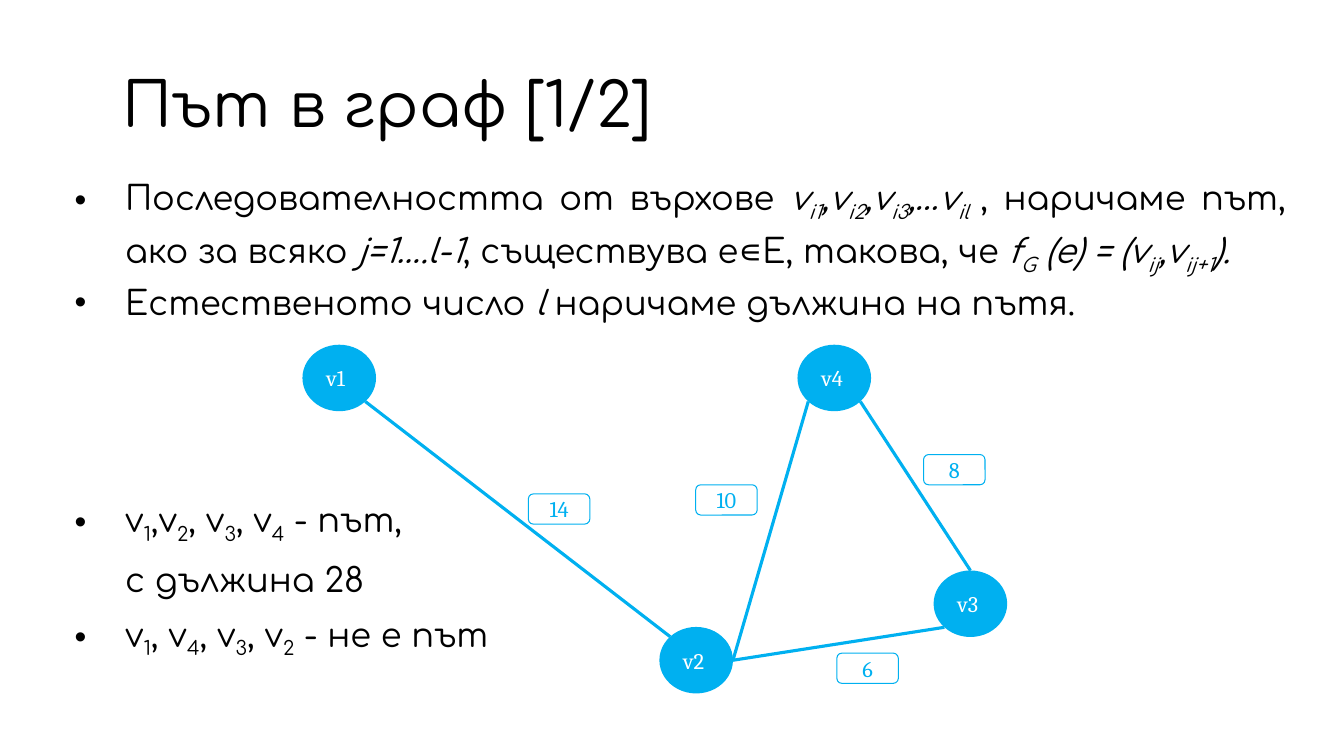
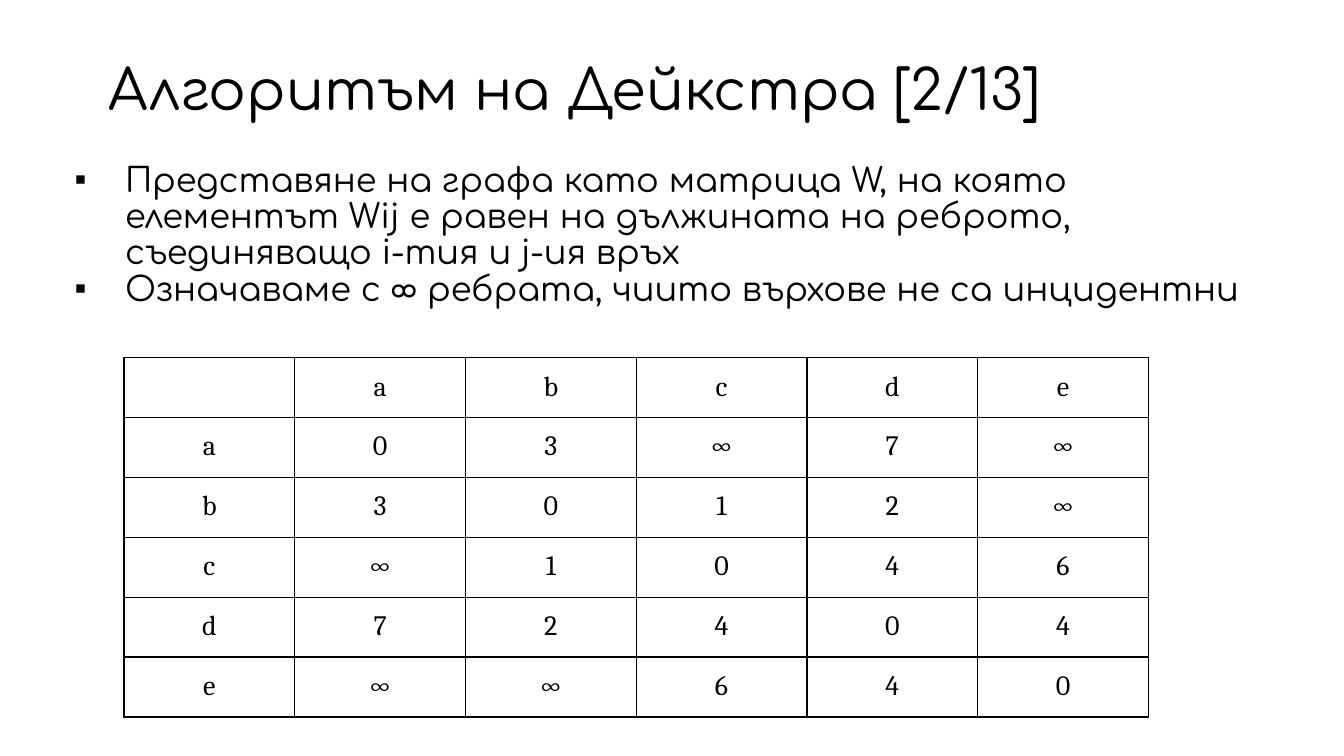
from math import cos, radians, sin

from lxml.etree import SubElement
from pptx import Presentation
from pptx.dml.color import RGBColor
from pptx.enum.shapes import MSO_CONNECTOR, MSO_SHAPE
from pptx.enum.text import MSO_ANCHOR, PP_ALIGN
from pptx.oxml.ns import qn
from pptx.util import Inches, Pt

BLACK = RGBColor(0x00, 0x00, 0x00)
WHITE = RGBColor(0xFF, 0xFF, 0xFF)
BLUE = RGBColor(0x00, 0xB0, 0xF0)

BODY = {"name": "Comfortaa", "size": Pt(24)}
GRAPH = {"name": "Cambria", "size": Pt(16)}
CELL = {"name": "Cambria", "size": Pt(20)}

TEXT_INSETS = (0.12, 0.04)
GRAPH_INSETS = (0.13, 0.13)
NODE_SIZE = (0.73, 0.66)
LABEL_SIZE = (0.61, 0.3)

NODES = {"v1": (3, 3.42), "v2": (6.54, 6.22), "v3": (9.26, 5.66), "v4": (7.91, 3.42)}
# Each end is a node and a site, counted anticlockwise from the top in steps of 45 degrees
EDGES = [
    (("v1", 5), ("v2", 1)),
    (("v2", 6), ("v3", 3)),
    (("v4", 5), ("v3", 0)),
    (("v2", 6), ("v4", 3)),
]
WEIGHTS = {"14": (5.24, 4.9), "6": (8.3, 6.48), "8": (9.16, 4.51), "10": (6.9, 4.81)}

MATRIX = [
    ["", "a", "b", "c", "d", "e"],
    ["a", "0", "3", "∞", "7", "∞"],
    ["b", "3", "0", "1", "2", "∞"],
    ["c", "∞", "1", "0", "4", "6"],
    ["d", "7", "2", "4", "0", "4"],
    ["e", "∞", "∞", "6", "4", "0"],
]


def set_all(obj, values):
    for name, value in values.items():
        setattr(obj, name, value)


def set_insets(obj, insets):
    """Set the margins of a text frame or a table cell."""
    x, y = (Inches(v) for v in insets)
    set_all(obj, {"margin_left": x, "margin_right": x, "margin_top": y, "margin_bottom": y})


def add_run(p, text, font, color=BLACK):
    r = p.add_run()
    r.text = text
    set_all(r.font, font)
    r.font.color.rgb = color
    return r


def add_rich_text(p, text, font):
    """Write text in which *...* is italic and ~...~ is subscript."""
    for i, segment in enumerate(text.split("*")):
        for j, part in enumerate(segment.split("~")):
            if part:
                r = add_run(p, part, {**font, "italic": i % 2 == 1})
                if j % 2:
                    r._r.get_or_add_rPr().set("baseline", "-25000")


def add_text_frame(slide, box):
    tf = slide.shapes.add_textbox(*(Inches(v) for v in box)).text_frame
    tf.word_wrap = True
    set_insets(tf, TEXT_INSETS)
    return tf


def add_title(slide, text, box, size):
    tf = add_text_frame(slide, box)
    tf.vertical_anchor = MSO_ANCHOR.MIDDLE
    p = tf.paragraphs[0]
    p.line_spacing = 0.9
    add_run(p, text, {**BODY, "size": Pt(size)})


def add_bullets(slide, box, items, spacing, align=PP_ALIGN.LEFT, before=0):
    """Fill a box with (bullet, text) paragraphs; a bullet of None only indents."""
    tf = add_text_frame(slide, box)
    for i, (bullet, text) in enumerate(items):
        p = tf.add_paragraph() if i else tf.paragraphs[0]
        set_all(p, {"line_spacing": spacing, "alignment": align,
                    "space_before": Pt(before if i else 0)})
        pPr = p._p.get_or_add_pPr()
        pPr.set("marL", str(Inches(0.67)))
        pPr.set("indent", str(Inches(-0.5 if bullet else 0)))
        if bullet:
            SubElement(pPr, qn("a:buFont"), typeface="Arial")
            SubElement(pPr, qn("a:buChar"), char=bullet)
        else:
            SubElement(pPr, qn("a:buNone"))
        add_rich_text(p, text, BODY)


def add_graph_shape(slide, kind, at, size, text, color, align):
    sp = slide.shapes.add_shape(kind, *(Inches(v) for v in (*at, *size)))
    sp.shadow.inherit = False
    tf = sp.text_frame
    tf.word_wrap = True
    tf.vertical_anchor = MSO_ANCHOR.MIDDLE
    set_insets(tf, GRAPH_INSETS)
    p = tf.paragraphs[0]
    p.alignment = align
    add_run(p, text, GRAPH, color)
    return sp


def add_node(slide, name, at):
    sp = add_graph_shape(slide, MSO_SHAPE.OVAL, at, NODE_SIZE, name, WHITE, PP_ALIGN.LEFT)
    sp.fill.solid()
    sp.fill.fore_color.rgb = BLUE
    sp.line.fill.background()
    return sp


def add_weight(slide, text, at):
    sp = add_graph_shape(slide, MSO_SHAPE.ROUNDED_RECTANGLE, at, LABEL_SIZE, text, BLUE,
                         PP_ALIGN.CENTER)
    sp.fill.background()
    sp.line.color.rgb = BLUE
    sp.line.width = Pt(0.75)


def site_point(node, site):
    angle = radians(90 + 45 * site)
    return (int(node.left + node.width / 2 * (1 + cos(angle))),
            int(node.top + node.height / 2 * (1 - sin(angle))))


def add_edge(slide, nodes, start, end):
    (a, a_site), (b, b_site) = start, end
    line = slide.shapes.add_connector(MSO_CONNECTOR.STRAIGHT, *site_point(nodes[a], a_site),
                                      *site_point(nodes[b], b_site))
    if b_site == 0:
        line.end_connect(nodes[b], 0)
    line.line.color.rgb = BLUE
    line.line.width = Pt(2.25)
    SubElement(line._element.spPr, qn("a:effectLst"))


def add_graph(slide):
    nodes = {name: add_node(slide, name, at) for name, at in NODES.items()}
    for start, end in EDGES:
        add_edge(slide, nodes, start, end)
    for text, at in WEIGHTS.items():
        add_weight(slide, text, at)


def add_cell_borders(cell):
    tcPr = cell._tc.get_or_add_tcPr()
    for i, side in enumerate(("a:lnL", "a:lnR", "a:lnT", "a:lnB")):
        ln = tcPr.makeelement(qn(side), {"w": str(Pt(1))})
        fill = SubElement(ln, qn("a:solidFill"))
        SubElement(fill, qn("a:srgbClr"), val=str(BLACK))
        tcPr.insert(i, ln)


def add_matrix(slide, box):
    shape = slide.shapes.add_table(len(MATRIX), len(MATRIX[0]), *(Inches(v) for v in box))
    table = shape.table
    set_all(table, {"first_row": False, "horz_banding": False})
    for i, row in enumerate(MATRIX):
        for j, text in enumerate(row):
            cell = table.cell(i, j)
            cell.fill.background()
            set_insets(cell, GRAPH_INSETS)
            add_cell_borders(cell)
            p = cell.text_frame.paragraphs[0]
            p.alignment = PP_ALIGN.CENTER
            if text:
                add_run(p, text, CELL)


def build_path_slide(slide):
    add_title(slide, "Път в граф [1/2]", (1.09, 0.65, 11.79, 0.84), 44)
    add_bullets(slide, (0.45, 1.65, 12.42, 1.65), [
        ("•", "Последователността от върхове *v~i1~,v~i2~,v~i3~,…v~il ~*, наричаме път, "
              "ако за всяко *j=1….l-1*, съществува e∊E, такова, че "
              "*f~G~ (e) = (v~ij~,v~ij+1~).*"),
        ("•", "Естественото число *l *наричаме дължина на пътя."),
    ], 1.15, PP_ALIGN.JUSTIFY)
    add_bullets(slide, (0.45, 4.82, 5.5, 1.81), [
        ("•", "v~1~,v~2~, v~3~, v~4~ - път,"),
        (None, "с дължина 28"),
        ("•", "v~1~, v~4~, v~3~, v~2~ - не е път"),
    ], 1.2, PP_ALIGN.JUSTIFY, before=4)
    add_graph(slide)


def build_matrix_slide(slide):
    add_title(slide, "Алгоритъм на Дейкстра [2/13]", (0.96, 0.5, 11.63, 0.84), 40)
    add_bullets(slide, (0.45, 1.58, 12.3, 1.7), [
        ("▪", "Представяне на графа като матрица W, на която елементът Wij е равен на "
              "дължината на реброто, съединяващо i-тия и j-ия връх"),
        ("▪", "Означаваме с ∞ ребрата, чиито върхове не са инцидентни"),
    ], 0.9)
    add_matrix(slide, (1.23, 3.55, 10.16, 3.52))


def main():
    prs = Presentation()
    prs.slide_width, prs.slide_height = Inches(13.33), Inches(7.5)
    for build in (build_path_slide, build_matrix_slide):
        build(prs.slides.add_slide(prs.slide_layouts[6]))
    prs.save("out.pptx")


if __name__ == "__main__":
    main()
